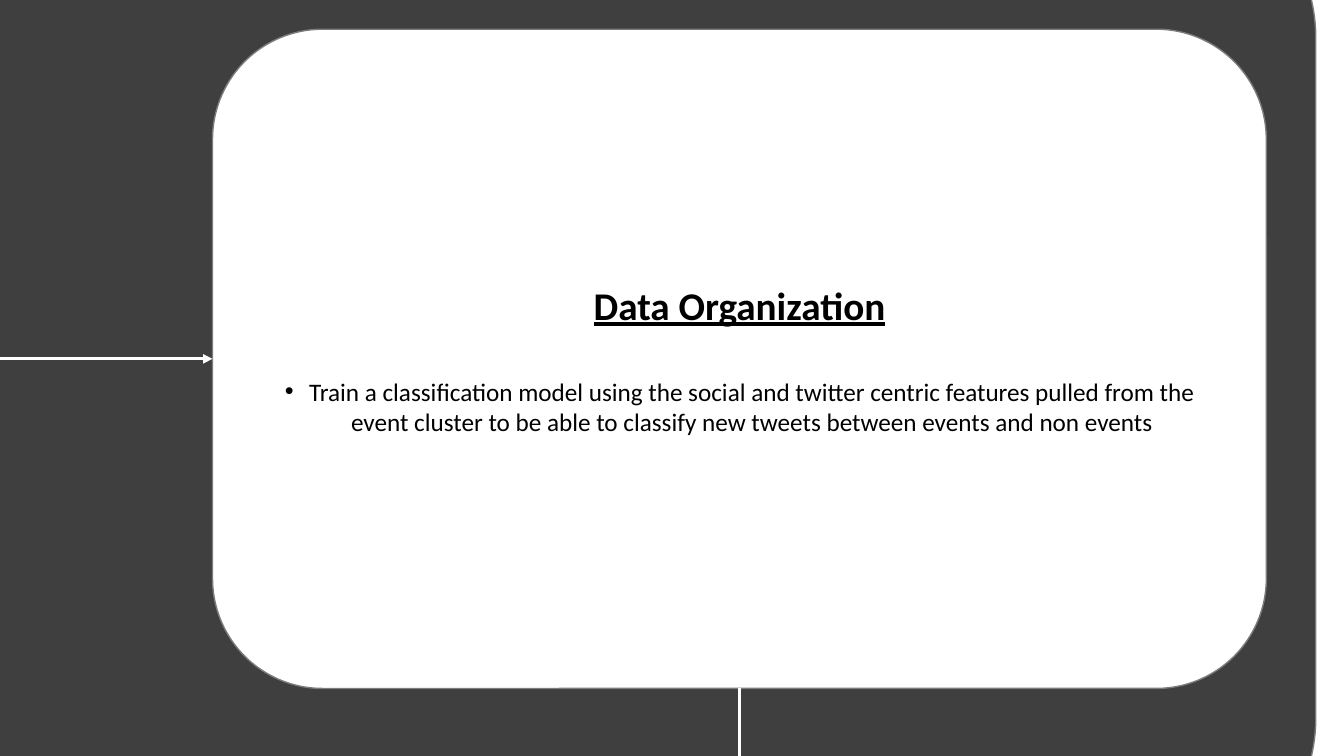
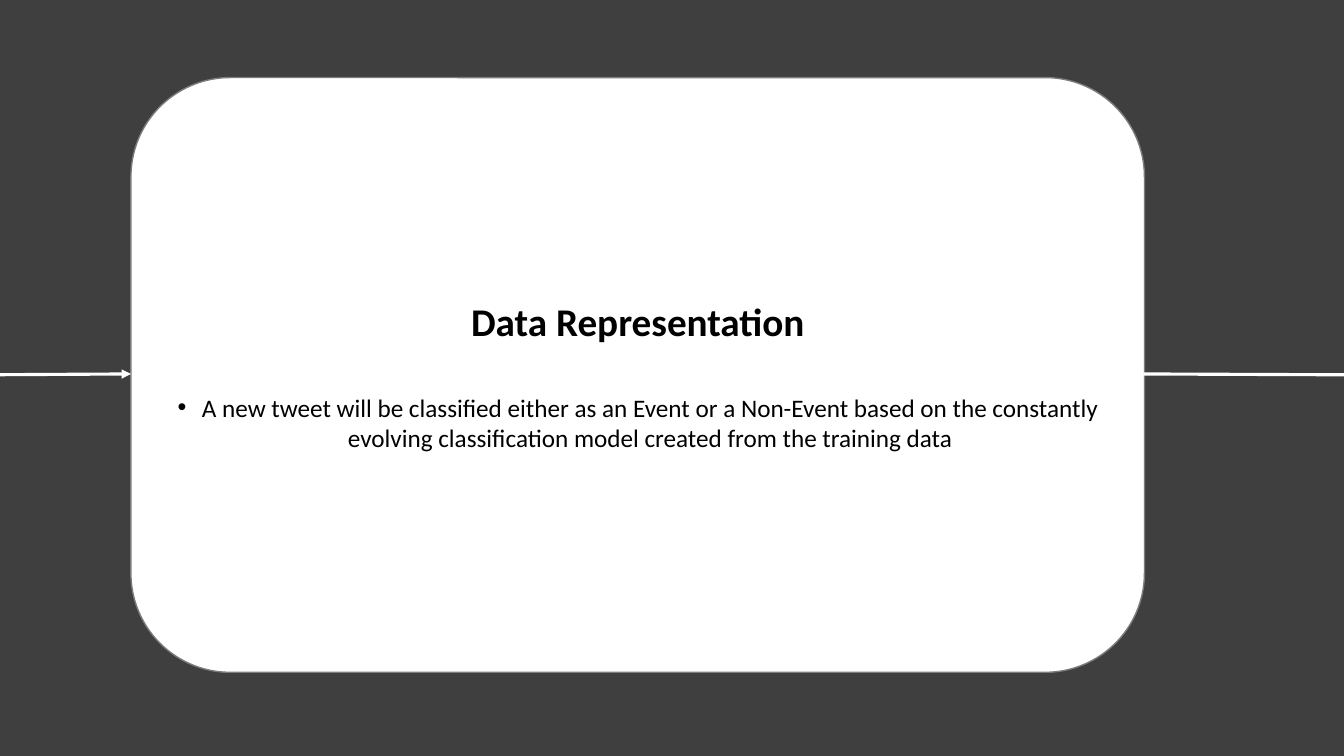
from lxml import etree
from pptx import Presentation
from pptx.dml.color import RGBColor
from pptx.enum import shapes, text
from pptx.oxml import ns
from pptx.util import Inches, Pt

COLORS = {"panel": "3F3F3F", "card": "FFFFFF", "outline": "7C7C7C",
          "flow": "FFFFFF", "text": "000000"}
FONT = "Calibri"
CORNER = 0.167
TITLE_RISE = 0.84
TITLE_HEIGHT = 0.6
BODY_DROP = 0.99
QUARTER_TURN = 90 * 60000

STAGES = [
    {"title": "Data Organization", "underline": True,
     "body": "Train a classification model using the social and twitter centric "
             "features pulled from the event cluster to be able to classify new "
             "tweets between events and non events",
     "panel": (-9.83, -1.31, 22.89, 10.12),
     "card": (2.11, 0.29, 10.46, 6.54),
     "flows": [((-0.84, 3.56), (2.11, 3.56))],
     "drops": [((7.34, 6.83), (1.61, 8.81), 0.55)]},
    {"title": "Data Representation", "underline": False,
     "body": "A new tweet will be classified either as an Event or a Non-Event "
             "based on the constantly evolving classification model created from "
             "the training data",
     "panel": (-4.07, -1.32, 20.81, 10.12),
     "card": (1.3, 0.77, 10.06, 5.9),
     "flows": [((-0.39, 3.72), (1.3, 3.71)),
               ((11.35, 3.71), (13.67, 3.72))],
     "drops": []},
]


def color(name):
    return RGBColor.from_string(COLORS[name])


def add_rounded(slide, box, fill):
    rounded = slide.shapes.add_shape(
        shapes.MSO_SHAPE.ROUNDED_RECTANGLE, *map(Inches, box))
    rounded.adjustments[0] = CORNER
    rounded.shadow.inherit = False
    rounded.fill.solid()
    rounded.fill.fore_color.rgb = color(fill)
    rounded.line.color.rgb = color("outline")
    rounded.line.width = Pt(1)
    return rounded


def write(frame, wording, size, bold=False, underline=False):
    frame.text = wording
    frame.word_wrap = True
    frame.auto_size = text.MSO_AUTO_SIZE.NONE
    frame.vertical_anchor = text.MSO_ANCHOR.MIDDLE
    paragraph = frame.paragraphs[0]
    paragraph.alignment = text.PP_ALIGN.CENTER
    font = paragraph.runs[0].font
    font.name, font.size = FONT, Pt(size)
    font.bold, font.underline = bold, underline
    font.color.rgb = color("text")
    return paragraph


def add_bullet(paragraph):
    properties = paragraph._p.get_or_add_pPr()
    properties.set("marL", str(Inches(0.25)))
    properties.set("indent", str(Inches(-0.24)))
    etree.SubElement(properties, ns.qn("a:buFont"), typeface="Arial")
    etree.SubElement(properties, ns.qn("a:buChar"), char="•")


def add_card(slide, box, body):
    card = add_rounded(slide, box, "card")
    card.text_frame.margin_top = Inches(BODY_DROP)
    add_bullet(write(card.text_frame, body, 18))


def place_title(slide, card_box, wording, underline):
    left, top, width, height = card_box
    title = slide.shapes.title
    title.left, title.width = Inches(left), Inches(width)
    title.top = Inches(top + height / 2 - TITLE_RISE)
    title.height = Inches(TITLE_HEIGHT)
    write(title.text_frame, wording, 28, bold=True, underline=underline)
    slide.shapes._spTree.append(title._element)


def add_flow(slide, start, end, kind=shapes.MSO_CONNECTOR.STRAIGHT):
    flow = slide.shapes.add_connector(kind, *map(Inches, start + end))
    flow.line.color.rgb = color("flow")
    flow.line.width = Pt(2.25)
    etree.SubElement(flow.line._get_or_add_ln(), ns.qn("a:tailEnd"),
                     type="triangle")
    etree.SubElement(flow._element.spPr, ns.qn("a:effectLst"))
    return flow


def add_drop(slide, start, end, bend):
    middle_x, middle_y = ((a + b) / 2 for a, b in zip(start, end))
    half_run, half_fall = abs(end[0] - start[0]) / 2, (end[1] - start[1]) / 2
    drop = add_flow(slide, (middle_x - half_fall, middle_y - half_run),
                    (middle_x + half_fall, middle_y + half_run),
                    shapes.MSO_CONNECTOR.ELBOW)
    properties = drop._element.spPr
    properties.find(ns.qn("a:xfrm")).set("rot", str(QUARTER_TURN))
    guides = properties.find(ns.qn("a:prstGeom")).get_or_add_avLst()
    etree.SubElement(guides, ns.qn("a:gd"), name="adj1",
                     fmla=f"val {round(bend * 100000)}")


def add_stage(deck, stage):
    slide = deck.slides.add_slide(deck.slide_layouts.get_by_name("Title Only"))
    add_rounded(slide, stage["panel"], "panel")
    add_card(slide, stage["card"], stage["body"])
    place_title(slide, stage["card"], stage["title"], stage["underline"])
    for start, end in stage["flows"]:
        add_flow(slide, start, end)
    for start, end, bend in stage["drops"]:
        add_drop(slide, start, end, bend)


def main():
    deck = Presentation()
    deck.slide_width, deck.slide_height = Inches(13.34), Inches(7.5)
    for stage in STAGES:
        add_stage(deck, stage)
    deck.save("out.pptx")


main()
